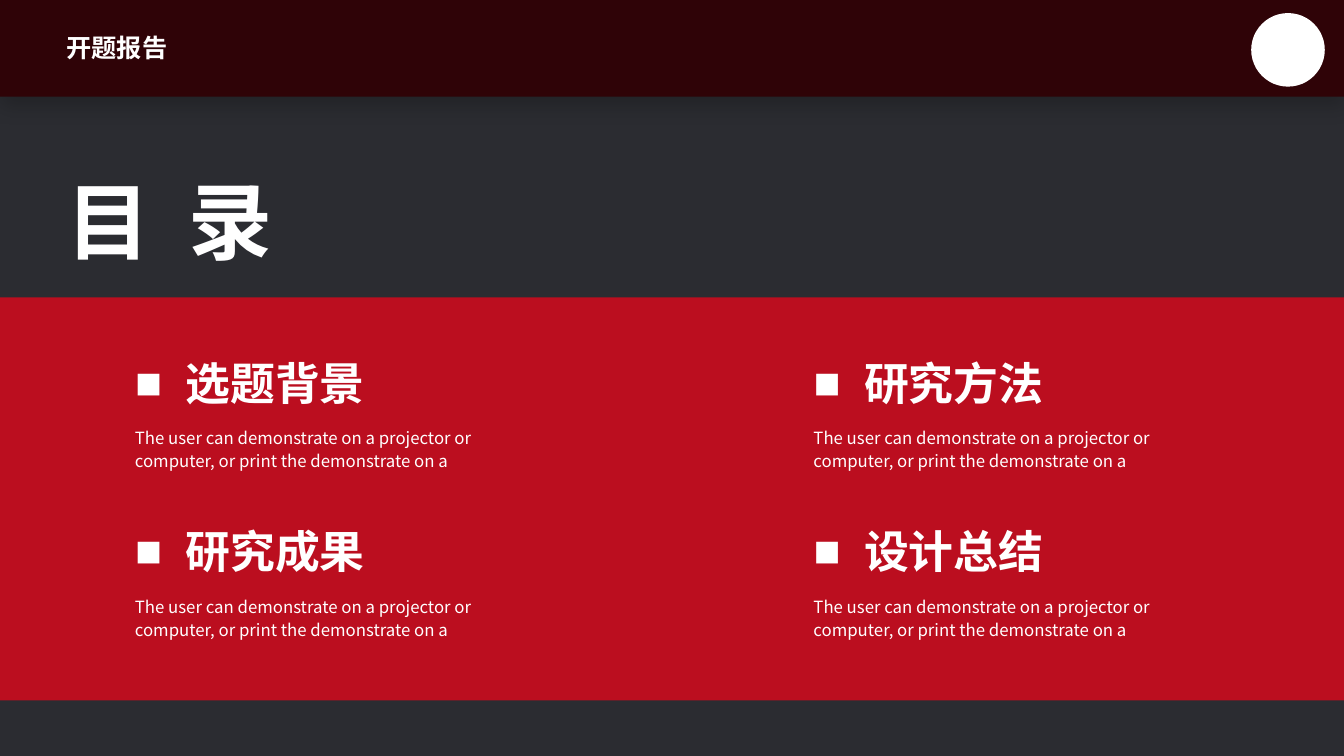
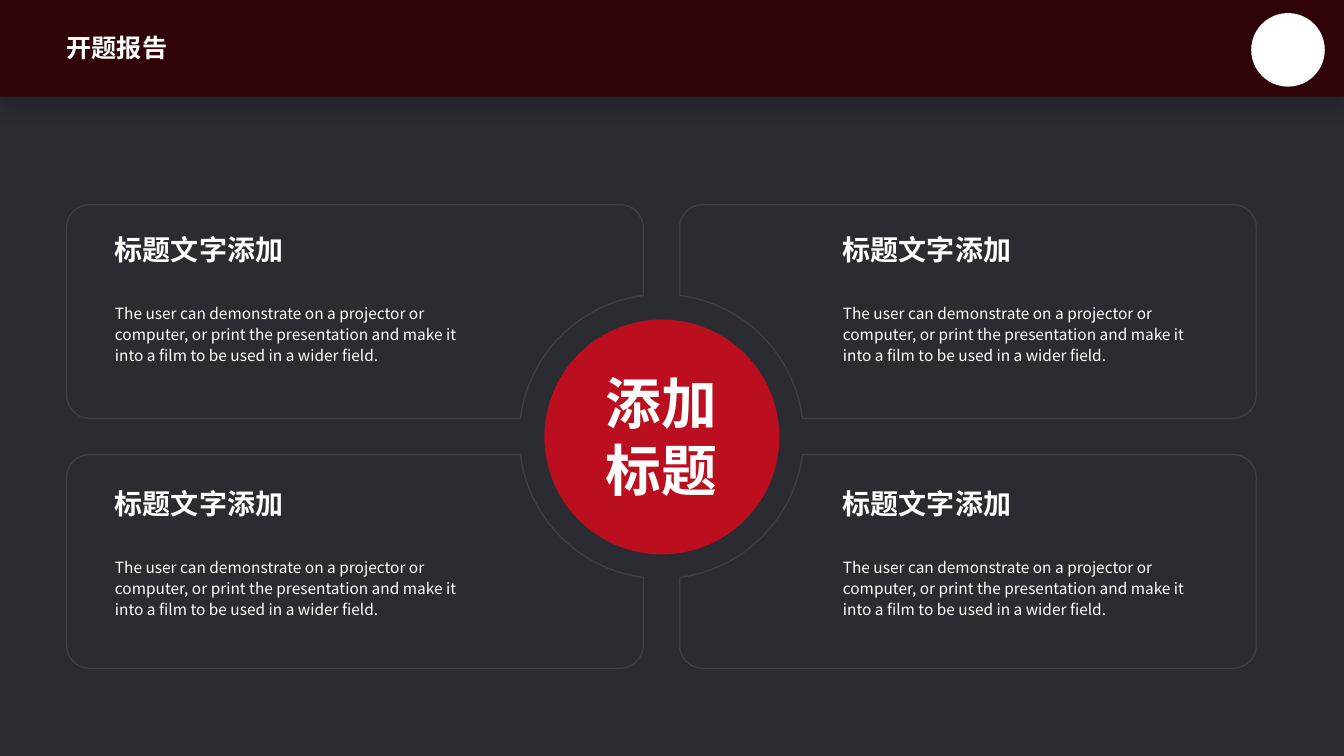
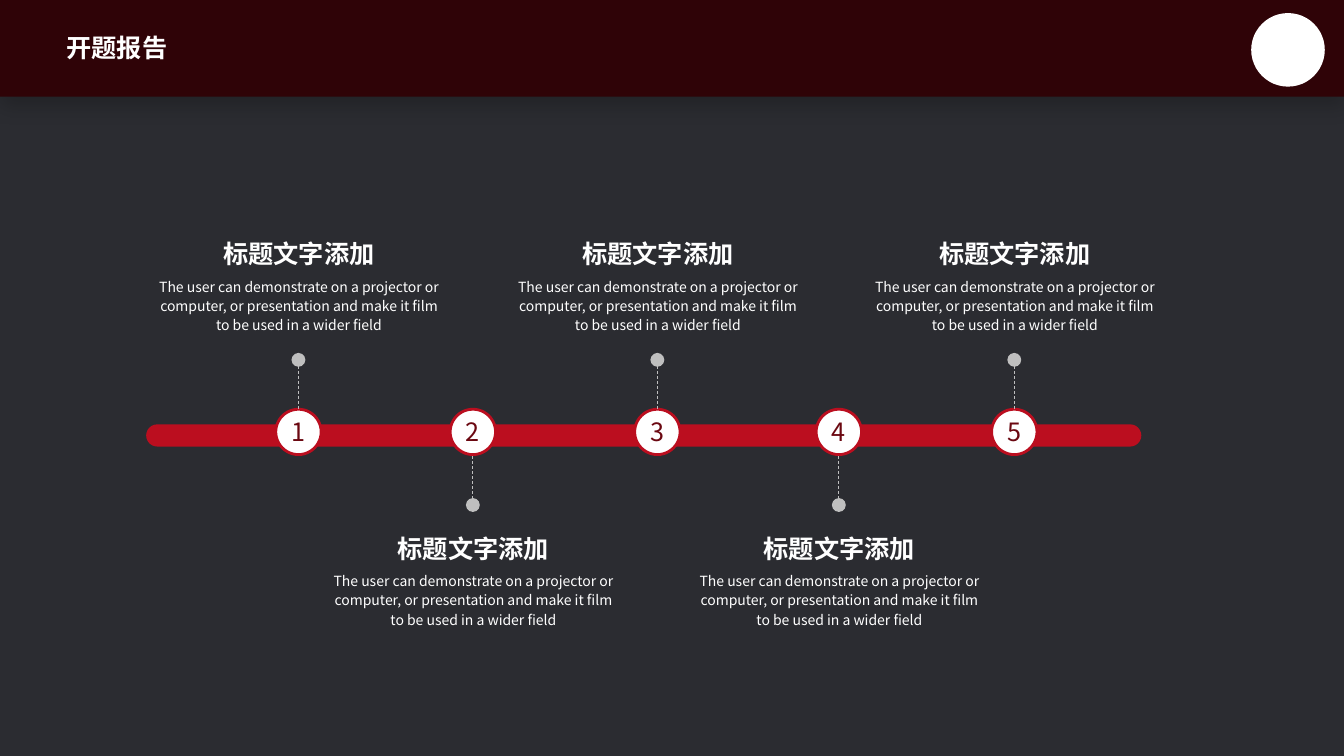
from math import acos, asin, cos, pi, sin, tan

from lxml.etree import SubElement as Sub
from pptx import Presentation
from pptx.dml.color import RGBColor as RGB
from pptx.enum.dml import MSO_LINE as Dash
from pptx.enum.shapes import MSO_CONNECTOR as Link, MSO_SHAPE as Kind
from pptx.enum.text import MSO_ANCHOR as Anchor, MSO_AUTO_SIZE as Fit, PP_ALIGN as Align
from pptx.oxml.ns import qn
from pptx.util import Inches, Pt

FONT = "Noto Sans CJK SC"
DARK = RGB(0x2B, 0x2C, 0x31)
WINE = RGB(0x2F, 0x03, 0x07)
RED = RGB(0xBB, 0x0E, 0x1F)
MAROON = RGB(0x6B, 0x08, 0x11)
WHITE = RGB(0xFF, 0xFF, 0xFF)
GREY = RGB(0xBF, 0xBF, 0xBF)
EDGE = RGB(0x40, 0x40, 0x40)

LEAD = 1.14
LABEL = "标题文字添加"
TOPICS = ["选题背景", "研究方法", "研究成果", "设计总结"]
TOPIC_NOTE = ("The user can demonstrate on a projector or computer, "
              "or print the demonstrate on a")
PANEL_NOTE = ("The user can demonstrate on a projector or computer, or print the "
              "presentation and make it into a film to be used in a wider field.")
STEP_NOTE = ("The user can demonstrate on a projector or computer, or presentation "
             "and make it film to be used in a wider field")
STEPS = [2.96, 4.69, 6.52, 8.32, 10.06]


def put(item, values):
    for name, value in values.items():
        setattr(item, name, value)


def place(shape, box):
    put(shape, dict(zip(("left", "top", "width", "height"), map(Inches, box))))


def write(shape, text, size, bold=False, color=WHITE, align=Align.LEFT,
          lead=1.0, pad=None, wrap=True, anchor=Anchor.TOP):
    """Fill a shape with text, one paragraph per line, in one format."""
    frame = shape.text_frame
    frame.text = text
    put(frame, {"word_wrap": wrap, "auto_size": Fit.NONE, "vertical_anchor": anchor})
    if pad is not None:
        put(frame, {f"margin_{side}": Inches(pad)
                    for side in ("left", "top", "right", "bottom")})
    for para in frame.paragraphs:
        put(para, {"alignment": align, "line_spacing": lead, "space_before": Pt(0)})
        for run in para.runs:
            put(run.font, {"name": FONT, "size": Pt(size), "bold": bold})
            run.font.color.rgb = color
    for props in shape.element.iter(qn("a:rPr")):
        Sub(props, qn("a:ea"), typeface=FONT)


def add_text(slide, box, text, size, **style):
    shape = slide.shapes.add_textbox(*map(Inches, box))
    write(shape, text, size, **style)
    return shape


def add_solid(slide, kind, box, fill):
    shape = slide.shapes.add_shape(kind, *map(Inches, box))
    shape.shadow.inherit = False
    shape.fill.solid()
    shape.fill.fore_color.rgb = fill
    shape.line.fill.background()
    return shape


def outline(shape, color, width):
    shape.line.color.rgb = color
    shape.line.width = Pt(width)


def set_bullet(shape):
    for props in shape.element.iter(qn("a:pPr")):
        props.set("marL", str(Inches(0.5)))
        props.set("indent", str(Inches(-0.5)))
        Sub(props, qn("a:buFont"), typeface="Arial")
        Sub(props, qn("a:buChar"), char="■")


def new_slide(deck, layout):
    slide = deck.slides.add_slide(deck.slide_layouts[layout])
    title = slide.shapes.title
    place(title, (0.56, 0.27, 1.21, 0.4))
    write(title, "开题报告", 18, bold=True, wrap=False)
    return slide


def set_master(deck, slide):
    """Move the header band and badge onto the master and colour its ground."""
    master = deck.slide_master
    master.background.fill.solid()
    master.background.fill.fore_color.rgb = DARK
    band = add_solid(slide, Kind.RECTANGLE, (0, 0, 13.33, 0.96), WINE)
    effect = next(band.element.iter(qn("a:effectLst")))
    shade = Sub(effect, qn("a:outerShdw"), blurRad=str(Pt(14)), dist=str(Pt(6)),
                dir="5400000", algn="t", rotWithShape="0")
    tint = Sub(shade, qn("a:srgbClr"), val="000000")
    Sub(tint, qn("a:alpha"), val="20000")
    badge = add_solid(slide, Kind.OVAL, (12.41, 0.13, 0.73, 0.73), WHITE)
    for shape in (band, badge):
        master.shapes.element.append(shape.element)


def fill_agenda(slide):
    panel = add_solid(slide, Kind.RECTANGLE, (0, 2.95, 13.33, 4), RED)
    slide.shapes.element.insert(2, panel.element)
    head = add_text(slide, (0.56, 1.49, 2.73, 1.16), "目 录", 60, bold=True, lead=LEAD)
    for props in head.element.iter(qn("a:rPr")):
        props.set("spc", "670")
    slots = list(slide.placeholders)[1:]
    for i, (slot, topic) in enumerate(zip(slots, TOPICS)):
        row, col = divmod(i, 2)
        x, y = 1.24 + 6.73 * col, 3.48 + 1.67 * row
        place(slot, (x, y, 2.78, 0.64))
        write(slot, topic, 32, bold=True)
        set_bullet(slot)
        add_text(slide, (x, y + 0.69, 4.1, 0.56), TOPIC_NOTE, 12, lead=LEAD)


def arc(x, y, radius, start, end):
    """Start, two control points and end of one cubic curve."""
    pull = 4 / 3 * tan((end - start) / 4)
    (c, s), (d, t) = [(cos(a), sin(a)) for a in (start, end)]
    return [(x + radius * u, y + radius * v)
            for u, v in ((c, s), (c - pull * s, s + pull * c),
                         (d + pull * t, t - pull * d), (d, t))]


def panel_points():
    """Four curves round one panel, as offsets from the centre of the hub."""
    near_x, near_y, far_x, far_y = 0.18, 0.18, 5.9, 2.3
    bend, ring = 0.23, 1.41
    return (arc(far_x - bend, near_y + bend, bend, -pi / 2, 0)
            + arc(far_x - bend, far_y - bend, bend, 0, pi / 2)
            + arc(near_x + bend, far_y - bend, bend, pi / 2, pi)
            + arc(0, 0, ring, acos(near_x / ring), asin(near_y / ring)))


def bend_lines(shape):
    """Turn the three lines after each curve's start into one cubic curve."""
    lines = list(shape.element.iter(qn("a:lnTo")))
    for i in range(0, len(lines), 4):
        first, *rest = lines[i:i + 3]
        outer = first.getparent()
        curve = Sub(outer, qn("a:cubicBezTo"))
        outer.replace(first, curve)
        for line in (first, *rest):
            curve.append(line[0])
        for line in rest:
            outer.remove(line)


def add_panel(slide, hub_x, hub_y, side_x, side_y):
    spots = [(Inches(hub_x + side_x * x), Inches(hub_y + side_y * y))
             for x, y in panel_points()]
    pen = slide.shapes.build_freeform(*spots[0])
    pen.add_line_segments(spots[1:], close=True)
    panel = pen.convert_to_shape()
    bend_lines(panel)
    panel.shadow.inherit = False
    panel.fill.background()
    outline(panel, EDGE, 1)


def fill_hub(slide):
    hub_x, hub_y = 6.56, 4.33
    add_solid(slide, Kind.OVAL, (5.4, 3.17, 2.33, 2.33), RED)
    add_text(slide, (5.93, 3.66, 1.26, 1.34), "添加\n标题", 39.8, bold=True,
             align=Align.CENTER, pad=0)
    for side_y, y in ((-1, 2.31), (1, 4.83)):
        for side_x, x in ((-1, 1.14), (1, 8.36)):
            add_panel(slide, hub_x, hub_y, side_x, side_y)
            add_text(slide, (x, y + 0.68, 3.62, 0.63), PANEL_NOTE, 11,
                     lead=LEAD, pad=0)
            add_text(slide, (x, y, 2.04, 0.34), LABEL, 20, bold=True, pad=0)


def add_stem(slide, x, dot_y, node_y):
    """Dashed line from a round dot to the edge of a node."""
    stem = slide.shapes.add_connector(Link.STRAIGHT, *map(Inches, (x, dot_y, x, node_y)))
    outline(stem, GREY, 0.5)
    stem.line.dash_style = Dash.DASH
    Sub(next(stem.element.iter(qn("a:ln"))), qn("a:headEnd"),
        type="oval", w="lg", len="lg")
    Sub(stem.element.spPr, qn("a:effectLst"))


def fill_line(slide):
    bar = add_solid(slide, Kind.ROUNDED_RECTANGLE, (1.45, 4.21, 9.87, 0.22), RED)
    bar.adjustments[0] = 0.5
    size, top = 0.45, 4.06
    for i, x in enumerate(STEPS):
        node = add_solid(slide, Kind.OVAL, (x - size / 2, top, size, size), WHITE)
        outline(node, RED, 2)
        write(node, str(i + 1), 18, color=MAROON, align=Align.CENTER, pad=0,
              wrap=False, anchor=Anchor.MIDDLE)
        if i % 2:
            add_stem(slide, x, 5.01, top + size)
            y = 5.24
        else:
            add_stem(slide, x, 3.57, top)
            y = 2.32
        add_text(slide, (x - 1.16, y, 2.33, 0.4), LABEL, 18, bold=True,
                 align=Align.CENTER)
        add_text(slide, (x - 1.51, y + 0.37, 3.03, 0.68), STEP_NOTE, 10,
                 align=Align.CENTER, lead=LEAD)


def main():
    deck = Presentation()
    put(deck, {"slide_width": Inches(13.33), "slide_height": Inches(7.5)})
    agenda = new_slide(deck, 4)
    set_master(deck, agenda)
    fill_agenda(agenda)
    fill_hub(new_slide(deck, 5))
    fill_line(new_slide(deck, 5))
    deck.save("out.pptx")


if __name__ == "__main__":
    main()
